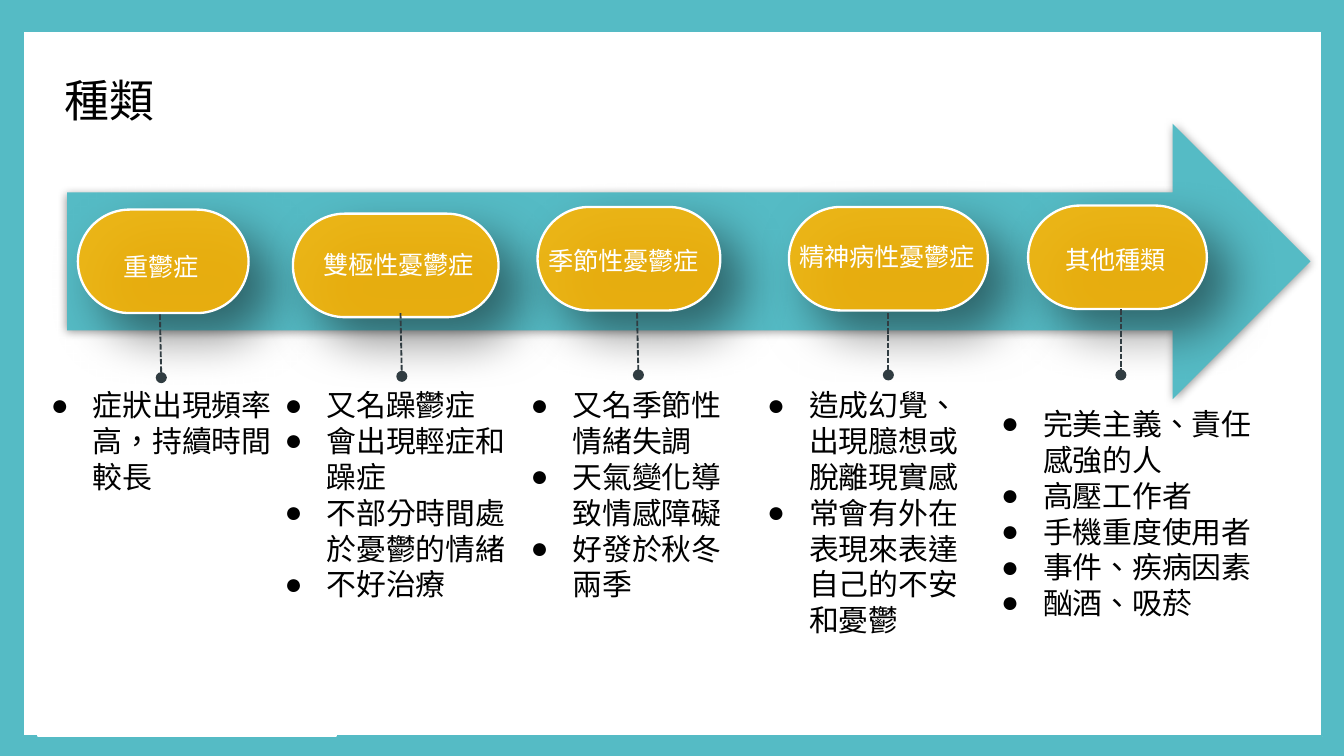
import pptx
import pptx.dml.color
import pptx.enum.dml
import pptx.enum.lang
import pptx.enum.shapes
import pptx.enum.text
import pptx.oxml
import pptx.oxml.ns
import pptx.util
from lxml import etree

TEAL = pptx.dml.color.RGBColor(0x55, 0xBB, 0xC5)
AMBER = pptx.dml.color.RGBColor(0xFB, 0xB5, 0x05)
SLATE = pptx.dml.color.RGBColor(0x30, 0x3C, 0x41)
WHITE = pptx.dml.color.RGBColor(0xFF, 0xFF, 0xFF)
BLACK = pptx.dml.color.RGBColor(0x00, 0x00, 0x00)
qn = pptx.oxml.ns.qn
SHAPE = pptx.enum.shapes.MSO_SHAPE

presentation = pptx.Presentation()
presentation.slide_width = pptx.util.Inches(10)
presentation.slide_height = presentation.slide_width * 9 // 16
column = presentation.slide_width / 100
row = presentation.slide_height / 56.25
slide = presentation.slides.add_slide(presentation.slide_layouts[6])


def add_block(shapes, preset, box, fill, line=None, weight=1, shadow=None):
    left, top, width, height = box
    shape = shapes.add_shape(preset, int(left * column), int(top * row),
                             int(width * column), int(height * row))
    shape.shadow.inherit = False
    shape.fill.solid()
    shape.fill.fore_color.rgb = fill
    if line is None:
        shape.line.fill.background()
    else:
        shape.line.color.rgb = line
        shape.line.width = pptx.util.Pt(weight)
    if shadow:
        opacity, blur, distance, angle = shadow
        effects = shape._element.spPr.find(qn("a:effectLst"))
        outer = etree.SubElement(effects, qn("a:outerShdw"), blurRad=str(blur * 12700),
                                 dist=str(distance * 12700), dir=str(angle * 60000),
                                 algn="ctr", rotWithShape="0")
        color = etree.SubElement(outer, qn("a:srgbClr"), val=str(BLACK))
        etree.SubElement(color, qn("a:alpha"), val=str(opacity * 1000))
    return shape


def add_text(shapes, box, texts, size, font, color, bullet=False, align=None):
    left, top, width, height = box
    frame = shapes.add_textbox(int(left * column), int(top * row),
                               int(width * column), int(height * row)).text_frame
    frame.word_wrap = True
    for index, text in enumerate(texts):
        paragraph = frame.add_paragraph() if index else frame.paragraphs[0]
        paragraph.alignment = align
        if bullet:
            properties = paragraph._p.get_or_add_pPr()
            indent = int(3.13 * column)
            properties.set("marL", str(indent))
            properties.set("indent", str(-indent))
            etree.SubElement(properties, qn("a:buFont"), typeface="Arial")
            etree.SubElement(properties, qn("a:buChar"), char="●")
        run = paragraph.add_run()
        run.text = text
        run.font.size = pptx.util.Pt(size)
        run.font.name = font
        run.font.color.rgb = color
        run.font.language_id = pptx.enum.lang.MSO_LANGUAGE_ID.TRADITIONAL_CHINESE


add_block(slide.shapes, SHAPE.RECTANGLE, (0, 0, 100, 56.25), TEAL)
add_block(slide.shapes, SHAPE.RECTANGLE, (1.7, 2.3, 96.7, 52.5), WHITE, TEAL)
add_block(slide.shapes, SHAPE.RECTANGLE, (2.8, 42, 22.2, 12.8), WHITE, WHITE)
add_block(slide.shapes, SHAPE.RIGHT_ARROW, (5, 9.2, 92.5, 20.5), TEAL, shadow=(40, 5, 0, 0))
add_text(slide.shapes, (3.8, 4.9, 8.8, 5), ["種類"], 24, "Arial", BLACK)

kinds = [
    ("重鬱症", (5.8, 15.6, 12.7), (8.2, 18.2, 7.7), (11.9, 23.4, 12, 28.1),
     (2.8, 28.3, 19, 11.8), ["症狀出現頻率高，持續時間較長"]),
    ("雙極性憂鬱症", (21.8, 15.9, 15.3), (23.1, 18.1, 13.4), (29.8, 23.3, 29.9, 28),
     (20.2, 28.3, 19, 17.2),
     ["又名躁鬱症", "會出現輕症和躁症", "不部分時間處於憂鬱的情緒", "不好治療"]),
    ("季節性憂鬱症", (40, 15.4, 13.6), (39.8, 17.8, 14.1), (47.4, 23.3, 47.5, 27.9),
     (38.5, 28.3, 18.3, 17.2),
     ["又名季節性情緒失調", "天氣變化導致情感障礙", "好發於秋冬兩季"]),
    ("精神病性憂鬱症", (58.7, 15.4, 14.8), (58.5, 17.5, 17.9), (66.1, 23.3, 66.1, 27.9),
     (56.1, 28.3, 18.3, 19.9),
     ["造成幻覺、出現臆想或脫離現實感", "常會有外在表現來表達自己的不安和憂鬱"]),
    ("其他種類", (76.5, 15.3, 13.3), (78.3, 17.7, 9.6), (83.4, 23, 83.4, 27.9),
     (73.5, 29.7, 22.3, 17.2),
     ["完美主義、責任感強的人", "高壓工作者", "手機重度使用者", "事件、疾病因素", "酗酒、吸菸"]),
]

for name, pill_box, name_box, stem, details_box, details in kinds:
    group = slide.shapes.add_group_shape()
    pill = add_block(group.shapes, SHAPE.ROUNDED_RECTANGLE, (*pill_box, 7.7), AMBER,
                     WHITE, 1.25, (50, 26, 17, 45))
    pill.adjustments[0] = 0.5
    fill_color = pill._element.spPr.find(qn("a:solidFill"))[0]
    etree.SubElement(fill_color, qn("a:alpha"), val="90000")
    add_text(group.shapes, (*name_box, 3.3), [name], 13.5, "Noto Sans CJK SC", WHITE,
             align=pptx.enum.text.PP_ALIGN.JUSTIFY)

    start_x, start_y, end_x, end_y = stem
    connector = slide.shapes.add_connector(
        pptx.enum.shapes.MSO_CONNECTOR.STRAIGHT, int(start_x * column), int(start_y * row),
        int(end_x * column), int(end_y * row))
    connector.line.color.rgb = SLATE
    connector.line.width = pptx.util.Pt(1)
    connector.line.dash_style = pptx.enum.dml.MSO_LINE.SQUARE_DOT
    etree.SubElement(connector.line._get_or_add_ln(), qn("a:tailEnd"), type="oval")
    etree.SubElement(connector._element.spPr, qn("a:effectLst"))

    add_text(slide.shapes, details_box, details, 16, "Arial", BLACK, bullet=True)

presentation.save("out.pptx")
